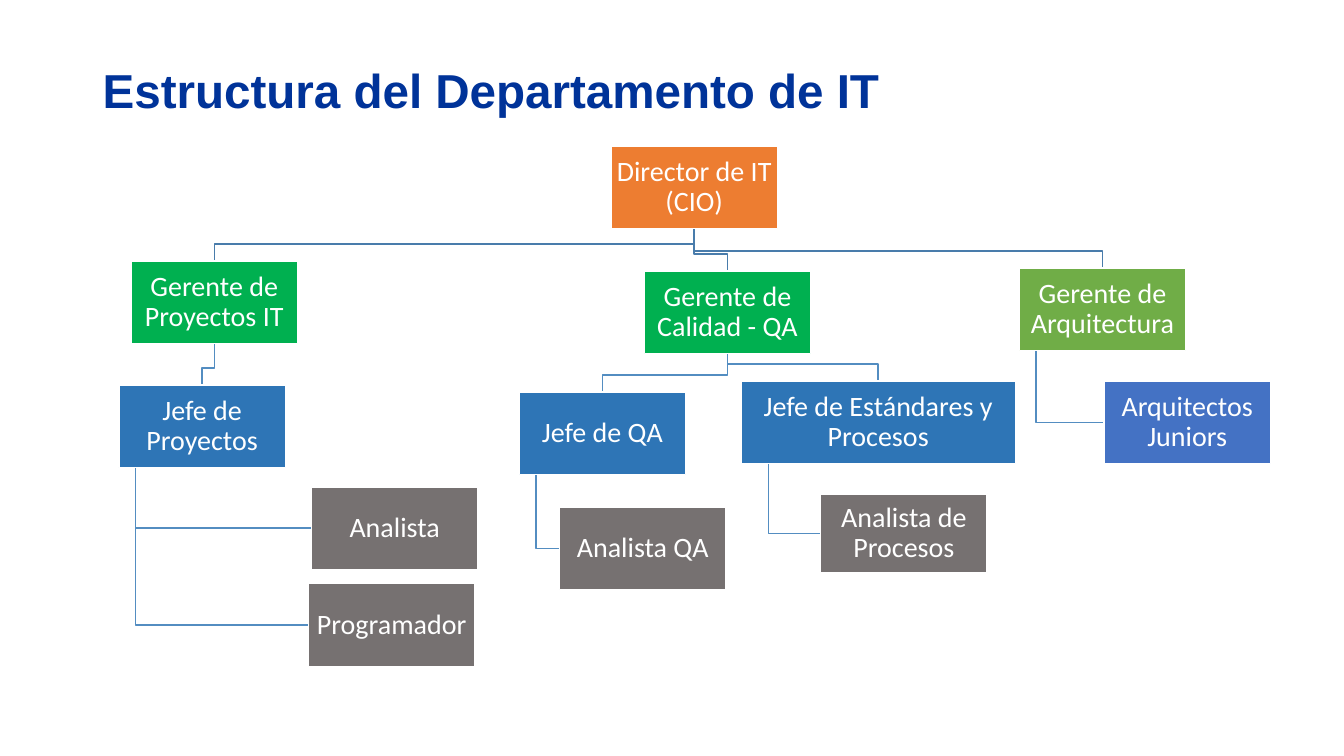
from collections import namedtuple

from pptx import Presentation
from pptx import util as u
from pptx.dml import color
from pptx.enum import shapes, text

COLORS = {
    "title": "003399", "white": "FFFFFF", "director": "ED7D31",
    "manager": "00B050", "architecture": "70AD47", "lead": "2E75B6",
    "staff": "767171", "junior": "4472C4",
    "top_line": "497CAB", "line": "538DC1",
}
Box = namedtuple("Box", "left top width height")
Post = namedtuple("Post", "label role left top boss hangs width height",
                  defaults=(None, False, 1.65, 0.82))

POSTS = [
    Post("Director de IT (CIO)", "director", 4.88, 0),
    Post("Gerente de Proyectos IT", "manager", 0.12, 1.14, "Director de IT (CIO)"),
    Post("Jefe de Proyectos", "lead", 0, 2.37, "Gerente de Proyectos IT"),
    Post("Analista", "staff", 1.91, 3.38, "Jefe de Proyectos", True),
    Post("Programador", "staff", 1.88, 4.34, "Jefe de Proyectos", True),
    Post("Gerente de Calidad - QA", "manager", 5.21, 1.24, "Director de IT (CIO)"),
    Post("Jefe de QA", "lead", 3.97, 2.44, "Gerente de Calidad - QA"),
    Post("Analista QA", "staff", 4.37, 3.58, "Jefe de QA", True),
    Post("Jefe de Estándares y Procesos", "lead", 6.17, 2.33,
         "Gerente de Calidad - QA", width=2.72),
    Post("Analista de Procesos", "staff", 6.96, 3.45,
         "Jefe de Estándares y Procesos", True, height=0.78),
    Post("Gerente de Arquitectura", "architecture", 8.93, 1.21, "Director de IT (CIO)"),
    Post("Arquitectos Juniors", "junior", 9.77, 2.33, "Gerente de Arquitectura", True),
]
BEND = 0.17
HANG = 0.1


def rgb(name):
    """Return the named colour."""
    return color.RGBColor.from_string(COLORS[name])


def write(shape, words, size, font, ink):
    """Write one vertically centred paragraph in a shape."""
    frame = shape.text_frame
    frame.word_wrap = True
    frame.vertical_anchor = text.MSO_ANCHOR.MIDDLE
    para = frame.paragraphs[0]
    para.text = words
    para.line_spacing = 0.9
    para.font.size = u.Pt(size)
    para.font.name = font
    para.font.color.rgb = rgb(ink)
    return para


def add_title(page, box, words):
    """Add the slide title."""
    title = page.shapes.add_textbox(*map(u.Inches, box))
    write(title, words, 34, "Arial", "title").font.bold = True


def add_link(page, boss, post, hangs, line):
    """Draw the angled line from a boss box to a post box."""
    if hangs:
        trunk = boss.left + HANG * boss.width
        middle = post.top + post.height / 2
        points = [(trunk, boss.top + boss.height), (trunk, middle), (post.left, middle)]
    else:
        start = boss.left + boss.width / 2
        end = post.left + post.width / 2
        bend = post.top - BEND
        points = [(start, boss.top + boss.height), (start, bend), (end, bend), (end, post.top)]
    points = [(u.Inches(x), u.Inches(y)) for x, y in points]
    builder = page.shapes.build_freeform(*points[0])
    builder.add_line_segments(points[1:], close=False)
    link = builder.convert_to_shape()
    link.shadow.inherit = False
    link.fill.background()
    link.line.color.rgb = rgb(line)
    link.line.width = u.Pt(1)


def add_post(page, box, post):
    """Add one labelled position."""
    card = page.shapes.add_shape(shapes.MSO_SHAPE.RECTANGLE, *map(u.Inches, box))
    card.shadow.inherit = False
    card.fill.solid()
    card.fill.fore_color.rgb = rgb(post.role)
    card.line.color.rgb = rgb("white")
    card.line.width = u.Pt(1)
    frame = card.text_frame
    frame.margin_left = frame.margin_right = u.Inches(0.01)
    frame.margin_top = frame.margin_bottom = u.Inches(0.01)
    para = write(card, post.label, 20, "Calibri", "white")
    para.alignment = text.PP_ALIGN.CENTER


def add_org_chart(page, area):
    """Add the organisation chart, links behind positions."""
    boxes = {post.label: Box(area.left + post.left, area.top + post.top,
                             post.width, post.height) for post in POSTS}
    for post in POSTS:
        if post.boss:
            line = "top_line" if post.boss == POSTS[0].label else "line"
            add_link(page, boxes[post.boss], boxes[post.label], post.hangs, line)
    for post in POSTS:
        add_post(page, boxes[post.label], post)


def main():
    """Build and save the deck."""
    deck = Presentation()
    deck.slide_width, deck.slide_height = u.Inches(13.33), u.Inches(7.5)
    page = deck.slides.add_slide(deck.slide_layouts[6])
    add_title(page, Box(0.92, 0.4, 11.5, 1.05), "Estructura del Departamento de IT")
    add_org_chart(page, Box(1.18, 1.45, 11.42, 5.16))
    deck.save("out.pptx")


if __name__ == "__main__":
    main()
